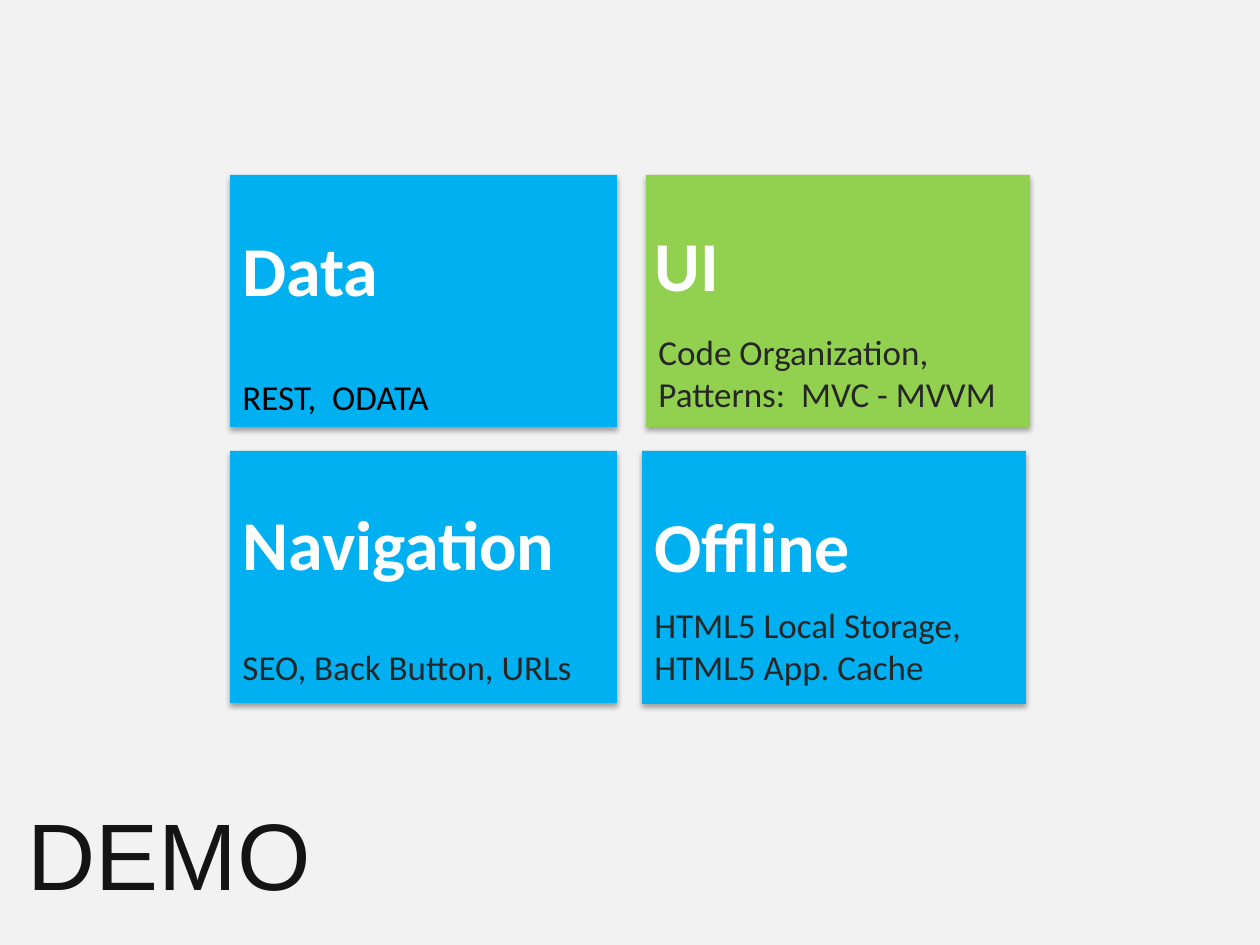
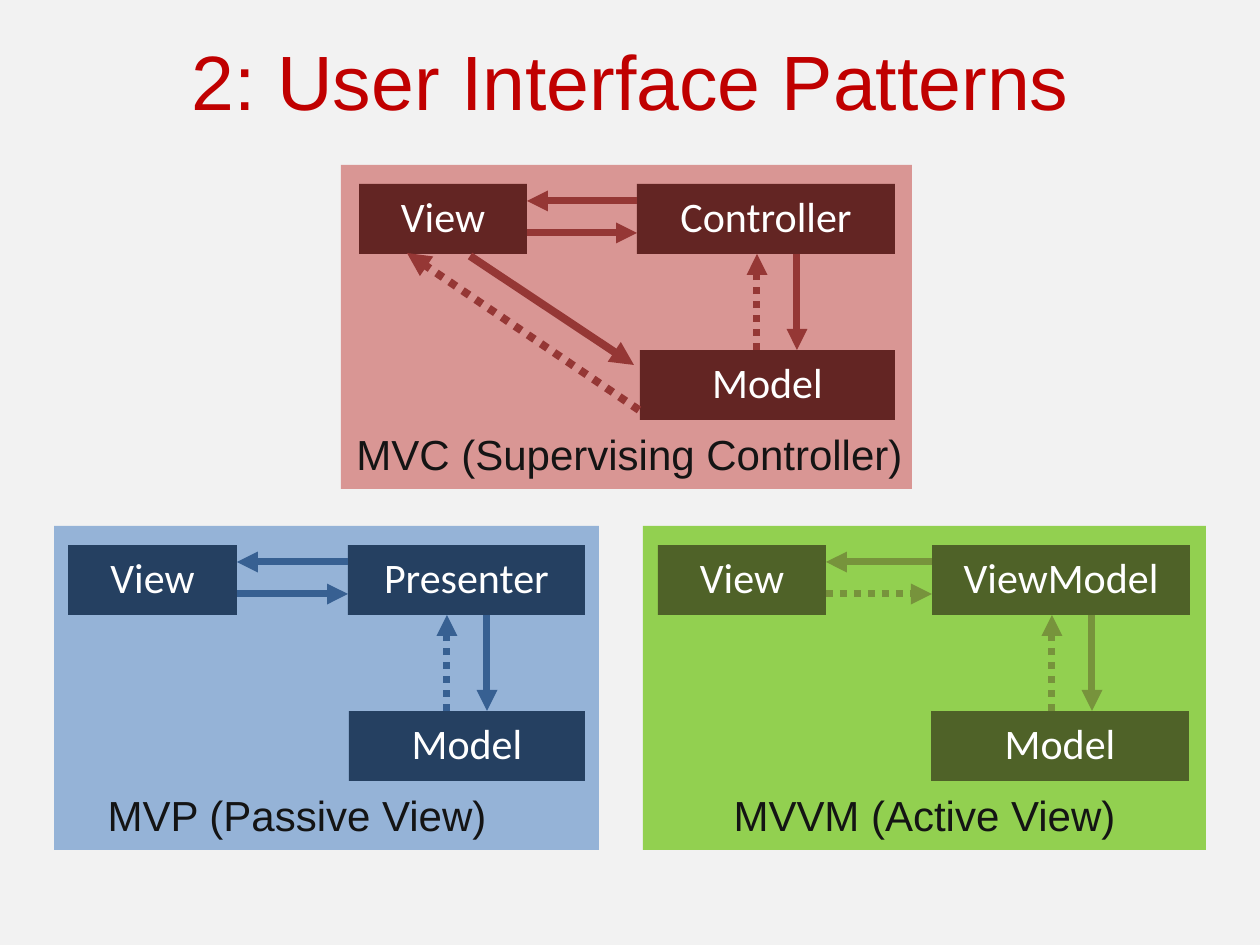
from lxml import etree
from pptx import Presentation
from pptx import util as u
from pptx.dml.color import RGBColor
from pptx.enum import dml, shapes, text
from pptx.oxml import ns

PX = u.Inches(1) / 126
BACKGROUND = "F2F2F2"
INK = "141414"
BLUE = "00B0F0"
GREEN = "92D050"
WHITE = "FFFFFF"
DETAIL = "262626"
BOX_HEIGHT = 70


def px(*lengths):
    return [u.Emu(round(length * PX)) for length in lengths]


def color(value):
    return RGBColor.from_string(value)


def add_xml(parent, tag, **attributes):
    element = etree.SubElement(parent, ns.qn(tag))
    for name, value in attributes.items():
        element.set(name, str(value))
    return element


class Deck:
    def __init__(self):
        self.presentation = Presentation()
        self.presentation.slide_width, self.presentation.slide_height = px(1260, 945)
        self.slide = None

    def new_slide(self, layout):
        layouts = self.presentation.slide_layouts
        self.slide = self.presentation.slides.add_slide(layouts.get_by_name(layout))
        fill = self.slide.background.fill
        fill.solid()
        fill.fore_color.rgb = color(BACKGROUND)

    def set_words(self, shape, words, size, ink, font, bold=False, align=None):
        shape.text_frame.text = words
        for paragraph in shape.text_frame.paragraphs:
            paragraph.alignment = align
            for run in paragraph.runs:
                run.font.name = font
                run.font.size = u.Pt(size)
                run.font.bold = bold
                run.font.color.rgb = color(ink)

    def title(self, words, left, top, width, height):
        title = self.slide.shapes.title
        title.left, title.top, title.width, title.height = px(left, top, width, height)
        self.set_words(title, words, 44, "C00000", "Arial", align=text.PP_ALIGN.CENTER)
        title.text_frame.vertical_anchor = text.MSO_ANCHOR.MIDDLE

    def label(self, words, left, top, width, height, size, ink=INK,
              font="Arial", wrap=False, **style):
        box = self.slide.shapes.add_textbox(*px(left, top, width, height))
        box.text_frame.word_wrap = wrap
        self.set_words(box, words, size, ink, font, **style)

    def panel(self, left, top, width, height, fill, shadow=False):
        shape = self.slide.shapes.add_shape(
            shapes.MSO_SHAPE.RECTANGLE, *px(left, top, width, height))
        shape.shadow.inherit = False
        shape.fill.solid()
        shape.fill.fore_color.rgb = color(fill)
        shape.line.fill.background()
        if shadow:
            effects = shape._element.spPr.find(ns.qn("a:effectLst"))
            outer = add_xml(effects, "a:outerShdw", blurRad=u.Pt(3.1),
                            dist=u.Pt(1.8), dir=5400000, rotWithShape=0)
            add_xml(add_xml(outer, "a:srgbClr", val="000000"), "a:alpha", val=35000)
        return shape

    def box(self, words, left, top, width, fill):
        shape = self.panel(left, top, width, BOX_HEIGHT, fill)
        frame = shape.text_frame
        frame.margin_left = frame.margin_right = px(29)[0]
        frame.margin_top = frame.margin_bottom = px(29)[0]
        frame.vertical_anchor = text.MSO_ANCHOR.MIDDLE
        self.set_words(shape, words, 24, WHITE, "Calibri", align=text.PP_ALIGN.CENTER)
        frame.paragraphs[0].line_spacing = 0.9

    def arrow(self, start, end, ink, dotted=False, width=4):
        connector = self.slide.shapes.add_connector(
            shapes.MSO_CONNECTOR.STRAIGHT, *px(*start, *end))
        line = connector.line
        line.color.rgb = color(ink)
        line.width = u.Pt(width)
        if dotted:
            line.dash_style = dml.MSO_LINE.ROUND_DOT
        properties = connector._element.spPr
        add_xml(properties.find(ns.qn("a:ln")), "a:tailEnd", type="triangle")
        add_xml(properties, "a:effectLst")

    def tile(self, heading, detail, area, fill, text_left, heading_top,
             detail_top, ink=DETAIL):
        left, top, width, height = area
        self.panel(left, top, width, height, fill, shadow=True)
        self.label(heading, text_left, heading_top, width, 97, 40, WHITE,
                   "Calibri", wrap=True, bold=True)
        self.label(detail, left, detail_top, width, 107, 20, ink, "Calibri", wrap=True)

    def pattern(self, caption, hub, area, view, hub_area, model_area, update_x,
                caption_area, colors, dotted_request=False):
        left, top, width = area
        fill, dark, ink = colors
        view_left, view_width = view
        view_right, hub_left = view_left + view_width, hub_area[0]
        box_top, model_top = top + 19, top + 185
        box_bottom = box_top + BOX_HEIGHT
        command_x = update_x + 40
        self.panel(left, top, width, 324, fill)
        self.box("Model", model_area[0], model_top, model_area[1], dark)
        self.box(hub, hub_left, box_top, hub_area[1], dark)
        self.box("View", view_left, box_top, view_width, dark)
        self.arrow((hub_left, top + 36), (view_right, top + 36), ink)
        self.arrow((view_right, top + 68), (hub_left, top + 68), ink, dotted_request)
        self.arrow((command_x, box_bottom), (command_x, model_top), ink)
        self.arrow((update_x, model_top), (update_x, box_bottom), ink, True)
        self.label(caption, caption_area[0], top + 257, caption_area[1], 63, 24,
                   align=text.PP_ALIGN.CENTER)


def build_demo(deck):
    deck.new_slide("Blank")
    deck.tile("Data", "REST,  ODATA", (230, 175, 387, 252), BLUE, 230, 220, 369, "000000")
    deck.tile("UI", "Code Organization,\nPatterns:  MVC - MVVM",
              (646, 175, 384, 252), GREEN, 642, 215, 324)
    deck.tile("Navigation", "SEO, Back Button, URLs",
              (230, 451, 387, 252), BLUE, 230, 494, 639)
    deck.tile("Offline", "HTML5 Local Storage, HTML5 App. Cache",
              (642, 451, 384, 253), BLUE, 642, 496, 597)
    deck.label("DEMO", 15, 790, 311, 127, 54)


def build_patterns(deck):
    deck.new_slide("Title Only")
    deck.title("2: User Interface Patterns", 64, 30, 1134, 100)
    deck.pattern("MVP (Passive View)", "Presenter", (54, 526, 545), (68, 169),
                 (348, 237), (349, 236), 447, (93, 408),
                 ("95B3D7", "254061", "376092"))
    deck.pattern("MVVM (Active View)", "ViewModel", (643, 526, 563), (658, 168),
                 (932, 258), (931, 258), 1052, (719, 411),
                 (GREEN, "4F6228", "77933C"), dotted_request=True)
    red = "953735"
    deck.pattern("MVC (Supervising Controller)", "Controller", (341, 165, 571),
                 (359, 168), (637, 258), (640, 255), 757, (341, 577),
                 ("D99694", "632523", red))
    deck.arrow((470, 256), (634, 365), red, width=4.5)
    deck.arrow((639, 410), (407, 253), red, dotted=True, width=4.5)


def main():
    deck = Deck()
    build_demo(deck)
    build_patterns(deck)
    deck.presentation.save("out.pptx")


if __name__ == "__main__":
    main()
